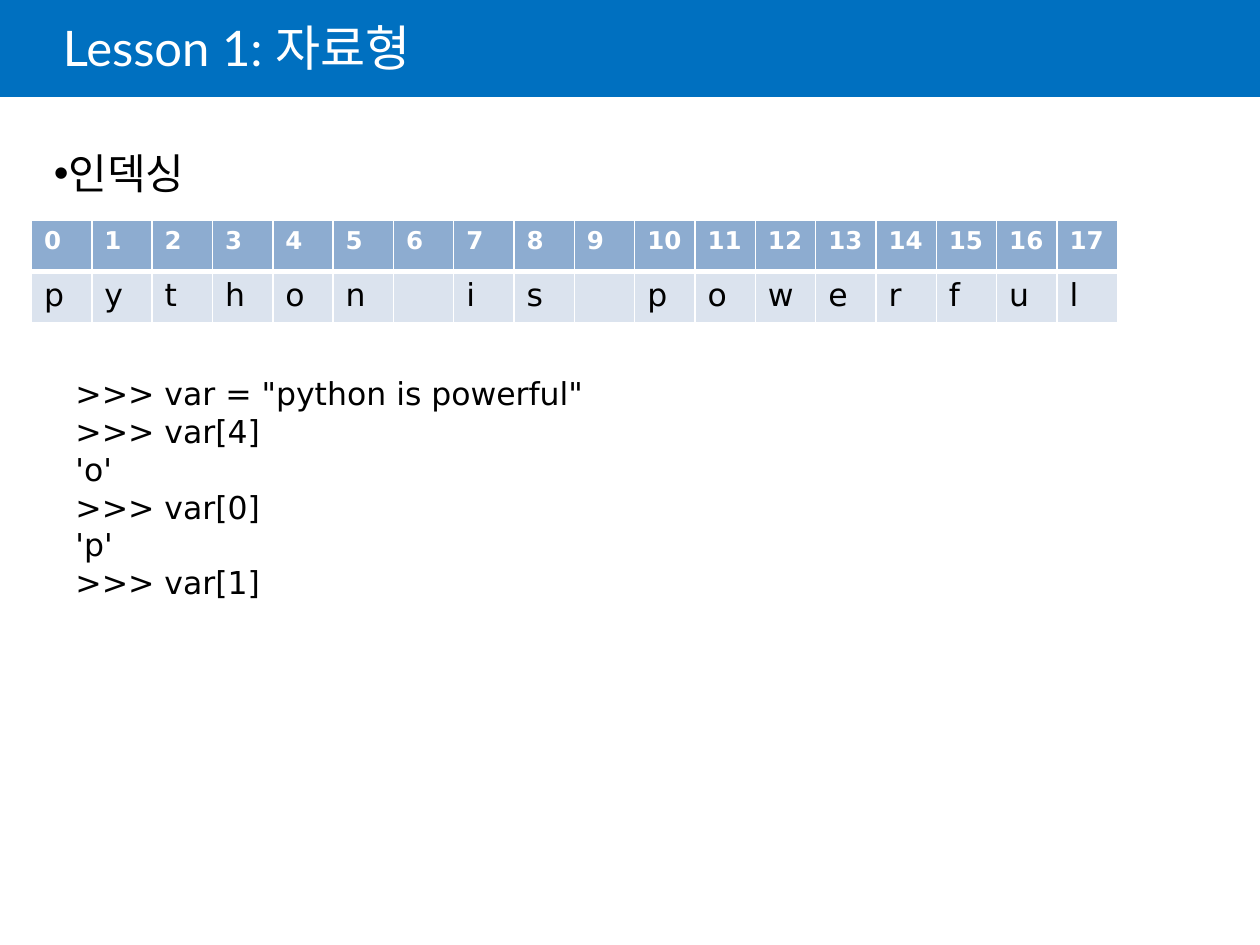
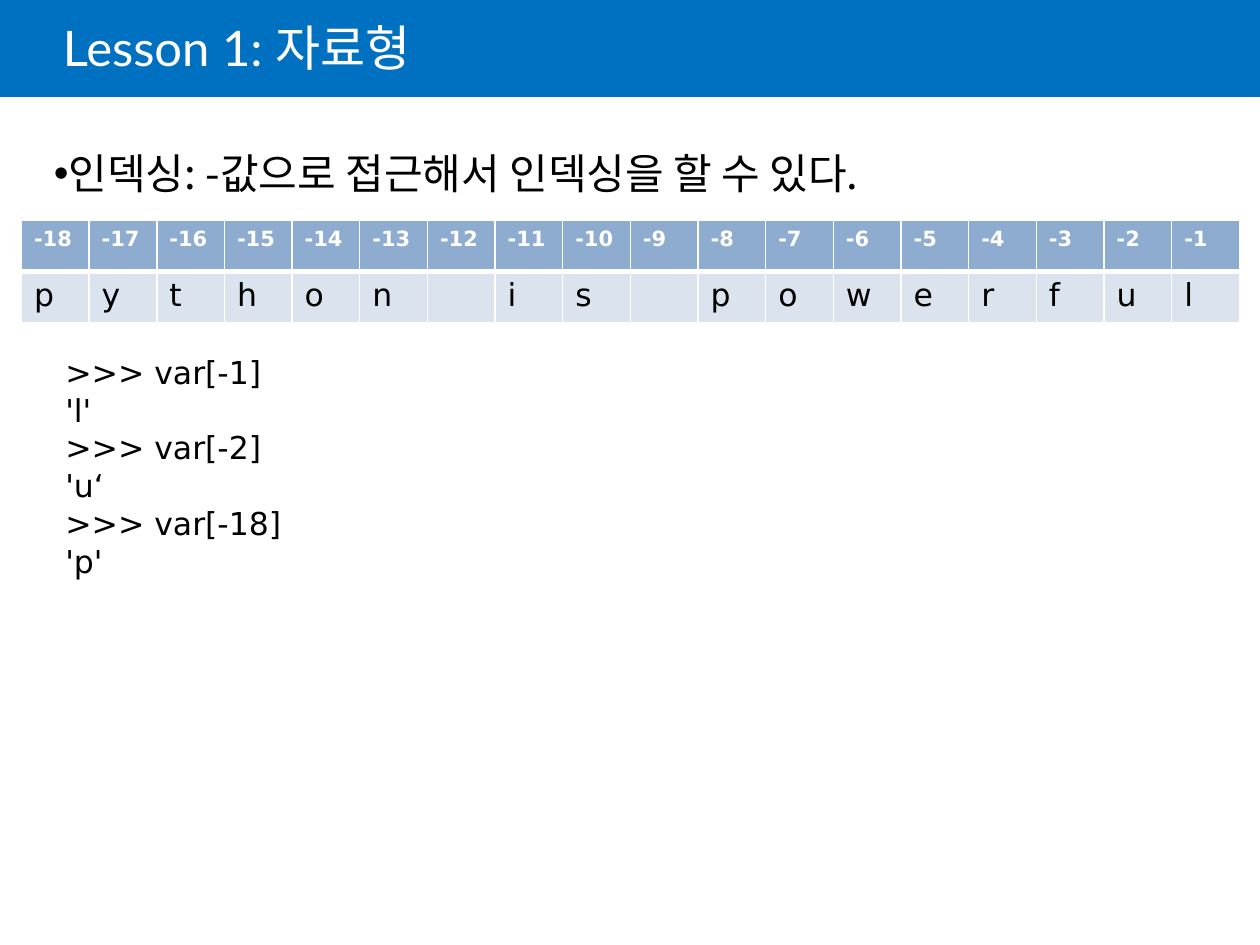
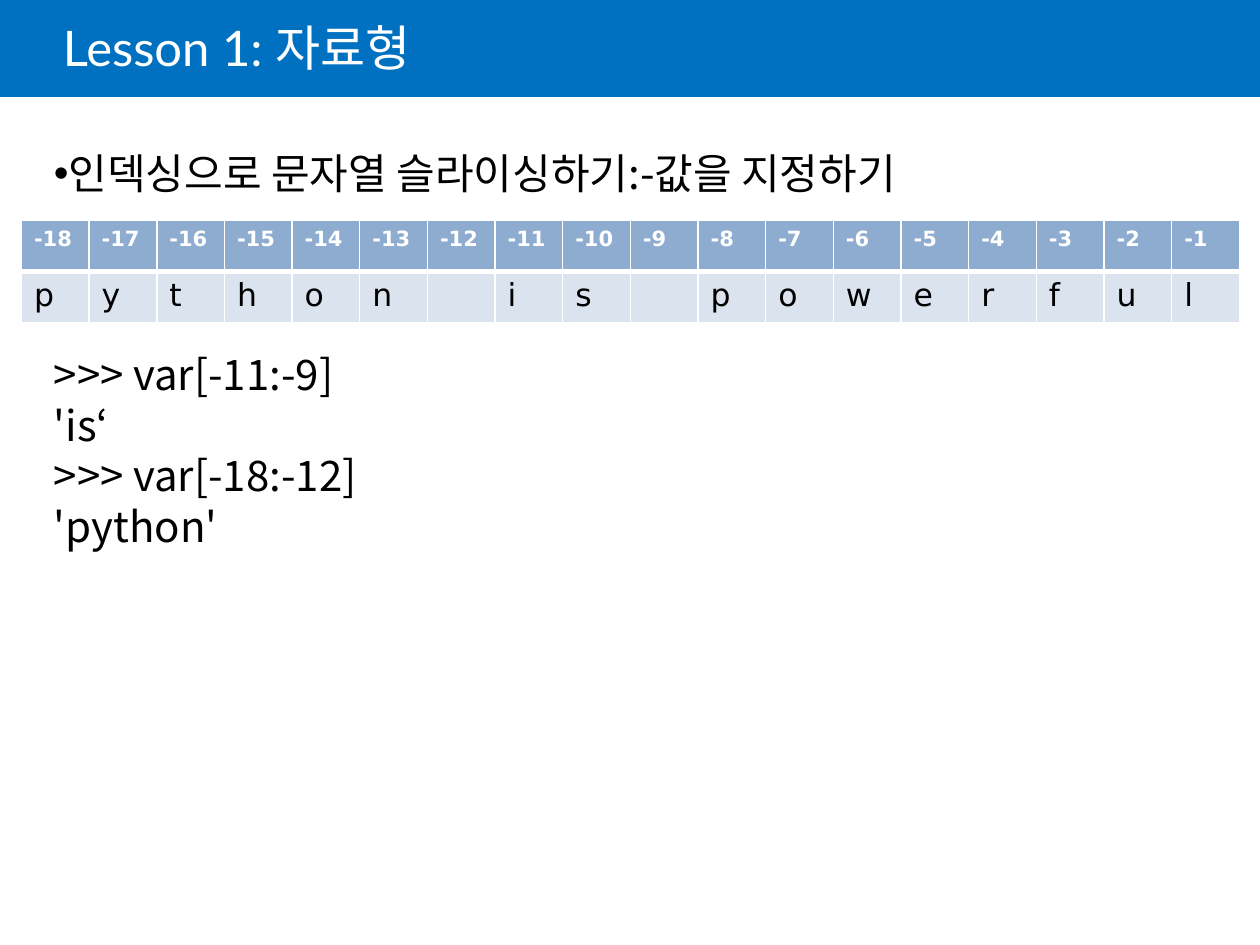
from pptx import Presentation
from pptx.dml.color import RGBColor
from pptx.enum.shapes import MSO_SHAPE
from pptx.enum.text import MSO_ANCHOR, MSO_AUTO_SIZE
from pptx.oxml.ns import qn
from pptx.util import Emu, Inches, Pt
from lxml import etree

RECTANGLE = MSO_SHAPE.RECTANGLE
MIDDLE = MSO_ANCHOR.MIDDLE
GROW = MSO_AUTO_SIZE.SHAPE_TO_FIT_TEXT

# Shared look
BLUE, WHITE, BLACK = "0070C0", "FFFFFF", "000000"
INDEX_FILL, LETTER_FILL = "8DACD0", "DBE3EE"
TITLE_FONT, KOREAN_FONT, CODE_FONT = "Lato", "Noto Sans CJK KR", "DejaVu Sans"
LESSON = "Lesson 1: 자료형"
PHRASE = "python is powerful"
LINE_PITCH = 1.2  # line height as a multiple of the text size


def rgb(value):
    return RGBColor.from_string(value)


def write(paragraph, text, *, size, font, color=BLACK, bold=False):
    """Put one formatted run into a paragraph."""
    run = paragraph.add_run()
    run.text = text
    run.font.size = Pt(size)
    run.font.name = font
    run.font.bold = bold
    run.font.color.rgb = rgb(color)
    east_asian = etree.SubElement(run._r.get_or_add_rPr(), qn("a:ea"))
    east_asian.set("typeface", KOREAN_FONT)


def add_bullet(paragraph):
    properties = paragraph._p.get_or_add_pPr()
    properties.set("marL", "0")
    properties.set("indent", "0")
    etree.SubElement(properties, qn("a:buFont")).set("typeface", "Arial")
    etree.SubElement(properties, qn("a:buChar")).set("char", "•")


def add_lines(slide, lines, left, top, width, height, *, size, font):
    """Add a text box with one paragraph per line, and return its frame."""
    frame = slide.shapes.add_textbox(
        Inches(left), Inches(top), Inches(width), Inches(height)).text_frame
    frame.word_wrap = True
    frame.auto_size = GROW
    for number, line in enumerate(lines):
        paragraph = frame.add_paragraph() if number else frame.paragraphs[0]
        paragraph.line_spacing = Pt(size * LINE_PITCH)
        write(paragraph, line, size=size, font=font)
    return frame


def add_lesson_slide(prs):
    """Start a slide with the title band and the lesson title."""
    slide = prs.slides.add_slide(prs.slide_layouts[6])
    band = slide.shapes.add_shape(RECTANGLE, 0, 0, prs.slide_width, Inches(0.77))
    band.shadow.inherit = False
    band.fill.solid()
    band.fill.fore_color.rgb = rgb(BLUE)
    band.line.fill.background()

    title = slide.shapes.add_textbox(
        Inches(0.5), 0, Inches(8.5), Inches(0.81)).text_frame
    title.word_wrap = True
    title.vertical_anchor = MIDDLE
    title.margin_left = 0
    title.paragraphs[0].line_spacing = 0.85
    write(title.paragraphs[0], LESSON, size=28, font=TITLE_FONT, color=WHITE)
    return slide


def add_topic(slide, topic, code=(), height=0.91):
    """Add the bulleted topic, with code lines below the table if given."""
    frame = add_lines(slide, [topic, *code], 0.33, 1.08, 9.08, height,
                      size=24, font=KOREAN_FONT)
    frame.margin_top = Inches(0.09)
    add_bullet(frame.paragraphs[0])
    if code:
        # Three lines of room for the table
        frame.paragraphs[1].space_before = Pt(3 * 24 * LINE_PITCH)


def add_code(slide, lines, left, top, width):
    add_lines(slide, lines, left, top, width, 1.92, size=18, font=CODE_FONT)


def set_borders(cell, **widths):
    """Draw white cell borders; widths are in points, by side."""
    properties = cell._tc.get_or_add_tcPr()
    for position, side in enumerate("LRTB"):
        line = etree.Element(qn(f"a:ln{side}"), w=str(Pt(widths.get(side, 1))))
        fill = etree.SubElement(line, qn("a:solidFill"))
        etree.SubElement(fill, qn("a:srgbClr")).set("val", WHITE)
        properties.insert(position, line)


def fill_cell(cell, text, fill, **text_format):
    cell.fill.solid()
    cell.fill.fore_color.rgb = rgb(fill)
    if text.strip():
        write(cell.text_frame.paragraphs[0], text, font=CODE_FONT, **text_format)


def add_index_table(slide, first_index, left, width, index_size):
    """Show each letter of the phrase under its index."""
    count = len(PHRASE)
    table = slide.shapes.add_table(2, count, Inches(left), Inches(1.75),
                                   Inches(width), Inches(0.81)).table
    for column, letter in enumerate(PHRASE):
        table.columns[column].width = Emu(Inches(width) // count)
        index_cell, letter_cell = table.cell(0, column), table.cell(1, column)
        fill_cell(index_cell, str(first_index + column), INDEX_FILL,
                  size=index_size, color=WHITE, bold=True)
        fill_cell(letter_cell, letter, LETTER_FILL, size=18)
        set_borders(index_cell, B=3)
        set_borders(letter_cell, T=3)


def add_negative_table(slide):
    add_index_table(slide, -len(PHRASE), left=0.17, width=9.67, index_size=12)


def main():
    prs = Presentation()
    prs.slide_width, prs.slide_height = Inches(10), Inches(7.5)

    # Indexing from the start
    slide = add_lesson_slide(prs)
    add_topic(slide, "인덱싱")
    add_code(slide, ['>>> var = "python is powerful"', ">>> var[4]", "'o'",
                     ">>> var[0]", "'p'", ">>> var[1]"], 0.5, 2.92, 7.58)
    add_index_table(slide, 0, left=0.25, width=8.62, index_size=14)

    # Indexing from the end
    slide = add_lesson_slide(prs)
    add_topic(slide, "인덱싱: -값으로 접근해서 인덱싱을 할 수 있다.")
    add_negative_table(slide)
    add_code(slide, [">>> var[-1]", "'l'", ">>> var[-2]", "'u‘",
                     ">>> var[-18]", "'p'"], 0.42, 2.75, 8)

    # Slicing with negative indexes
    slide = add_lesson_slide(prs)
    add_topic(slide, "인덱싱으로 문자열 슬라이싱하기:-값을 지정하기",
              [">>> var[-11:-9]", "'is‘", ">>> var[-18:-12]", "'python'"],
              height=3.33)
    add_negative_table(slide)

    prs.save("out.pptx")


if __name__ == "__main__":
    main()
